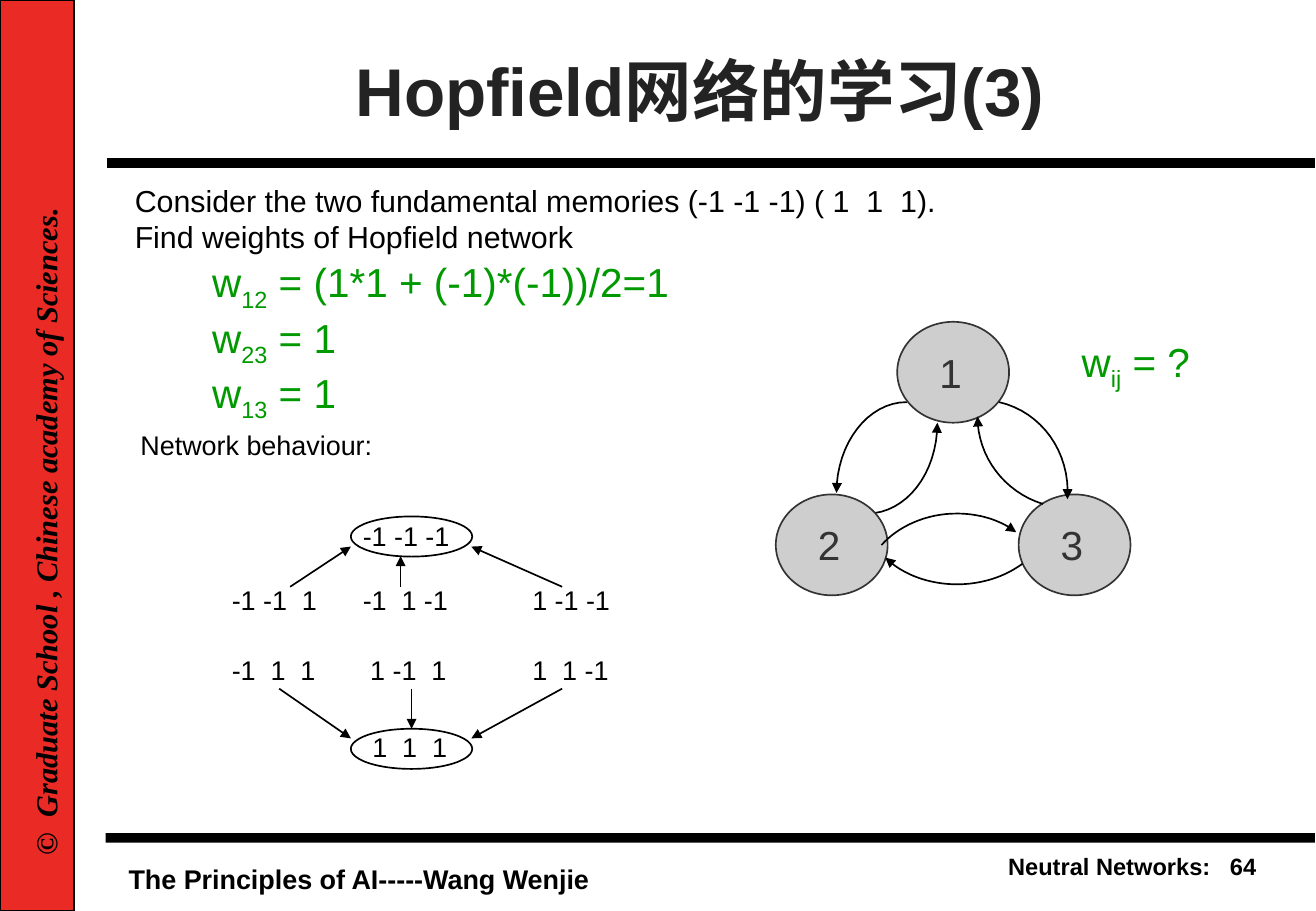
from dataclasses import dataclass
from itertools import product

from lxml.etree import SubElement
from pptx import Presentation
from pptx.dml.color import RGBColor as Rgb
from pptx.enum.shapes import MSO_CONNECTOR as Link, MSO_SHAPE as Shape
from pptx.enum.text import MSO_ANCHOR as Anchor, MSO_AUTO_SIZE as Fit, PP_ALIGN as Align
from pptx.oxml.ns import qn
from pptx.util import Cm, Pt


@dataclass(frozen=True)
class Theme:
    sans: str = "Arial"
    serif: str = "Times New Roman"
    black: str = "000000"
    title: str = "232323"
    red: str = "E92A25"
    green: str = "009900"
    gray: str = "CECECE"
    dark: str = "333333"
    huge: int = 40
    large: int = 24
    body: int = 18
    small: int = 16
    tiny: int = 14


LOOK = Theme()


def style(frame, size, color, face=LOOK.sans, bold=False, slant=False):
    for para in frame.paragraphs:
        for run in para.runs:
            font = run.font
            font.name, font.size = face, Pt(size)
            font.bold, font.italic = bold, slant
            font.color.rgb = Rgb.from_string(color)


def label(slide, spot, text, size=LOOK.small, color=LOOK.black, wrap=False, **extra):
    box = slide.shapes.add_textbox(*map(Cm, spot))
    frame = box.text_frame
    frame.word_wrap = wrap
    frame.auto_size = Fit.SHAPE_TO_FIT_TEXT
    frame.text = text
    style(frame, size, color, **extra)
    return box


def weights(slide, spot, terms):
    """Write one line per (index, value) pair, with the index set low."""
    frame = label(slide, spot, "\n".join("w" for _ in terms)).text_frame
    for para, (index, value) in zip(frame.paragraphs, terms):
        low, rest = para.add_run(), para.add_run()
        low.text, rest.text = index, f" = {value}"
        low._r.get_or_add_rPr().set("baseline", "-25000")
    style(frame, LOOK.large, LOOK.green)


def stroke(item, color=LOOK.black, width=1, arrow=False):
    item.line.color.rgb = Rgb.from_string(color)
    item.line.width = Pt(width)
    if arrow:
        line = item._element.spPr.find(qn("a:ln"))
        SubElement(line, qn("a:tailEnd")).set("type", "triangle")


def solid(slide, kind, spot, fill=None, edge=None):
    item = slide.shapes.add_shape(kind, *map(Cm, spot))
    item.shadow.inherit = False
    if fill:
        item.fill.solid()
        item.fill.fore_color.rgb = Rgb.from_string(fill)
    else:
        item.fill.background()
    if edge:
        stroke(item, edge)
    else:
        item.line.fill.background()


def line(slide, start, end, **extra):
    item = slide.shapes.add_connector(Link.STRAIGHT, *map(Cm, start + end))
    stroke(item, **extra)
    SubElement(item._element.spPr, qn("a:effectLst"))


def bend(slide, knots, steps=16):
    """Draw a chain of cubic curves that ends in an arrowhead."""
    dots = []
    for first in range(0, len(knots) - 1, 3):
        part = knots[first:first + 4]
        for step in range(1, steps + 1):
            t = step / steps
            mix = ((1 - t) ** 3, 3 * t * (1 - t) ** 2, 3 * t * t * (1 - t), t ** 3)
            dots.append(tuple(Cm(sum(m * p[axis] for m, p in zip(mix, part)))
                              for axis in (0, 1)))
    pen = slide.shapes.build_freeform(*map(Cm, knots[0]))
    pen.add_line_segments(dots, close=False)
    item = pen.convert_to_shape()
    item.shadow.inherit = False
    item.fill.background()
    stroke(item, arrow=True)


def draw_frame(slide):
    label(slide, (2.44, 17.91, 10.21, 0.91), "The Principles of AI-----Wang Wenjie", bold=True)
    page = label(slide, (18.36, 17.7, 8.18, 0.84), "Neutral Networks:   64",
                 LOOK.tiny, wrap=True, bold=True)
    page.text_frame.paragraphs[0].alignment = Align.RIGHT
    solid(slide, Shape.RECTANGLE, (2.21, 17.42, 25.3, 0.2), LOOK.black)
    solid(slide, Shape.RECTANGLE, (0, 0, 1.55, 19.05), LOOK.red, LOOK.black)
    line(slide, (2.24, 3.4), (27.51, 3.4), width=6)
    side = label(slide, (-6.15, 10.52, 14.2, 1.02),
                 "©  Graduate School , Chinese academy of Sciences.",
                 LOOK.body, face=LOOK.serif, bold=True, slant=True)
    side.rotation = 270


def draw_title(slide):
    title = slide.shapes.title
    title.left, title.top, title.width, title.height = map(Cm, (2.97, 0.56, 23.34, 2.62))
    frame = title.text_frame
    frame.text = "Hopfield网络的学习(3)"
    frame.auto_size, frame.vertical_anchor = Fit.NONE, Anchor.MIDDLE
    frame.paragraphs[0].alignment = Align.CENTER
    style(frame, LOOK.huge, LOOK.title, bold=True)


def draw_states(slide):
    # Stable memories
    for spot, text in (((7.34, 10.74, 2.5, 0.94), "-1 -1 -1"),
                       ((7.54, 15.16, 2.3, 0.94), "1  1  1")):
        label(slide, spot, text)
    for top in (10.8, 15.24):
        solid(slide, Shape.OVAL, (7.34, top, 2.54, 0.84), edge=LOOK.black)

    # Other states, row by row
    states = ("-1 -1  1", "-1  1 -1", " 1 -1 -1", "-1  1  1", " 1 -1  1", " 1  1 -1")
    for (top, left), text in zip(product((12.07, 13.54), (4.6, 7.34, 10.73)), states):
        label(slide, (left, top, 2.5, 0.94), text)

    # Moves towards the memories
    for start, end in (((6.07, 12.27), (7.34, 11.43)), ((8.38, 12.27), (8.38, 11.63)),
                       ((11.76, 12.27), (9.86, 11.43)), ((5.84, 14.4), (7.34, 15.44)),
                       ((8.61, 14.4), (8.61, 15.24)), ((11.76, 14.4), (9.86, 15.44))):
        line(slide, start, end, arrow=True)


def draw_net(slide):
    # Link from 2 to 1, which starts behind its neuron
    bend(slide, ((18.14, 10.74), (18.95, 10.74), (19.61, 9.91), (19.61, 8.84)))

    # Neurons
    for name, left, top in (("1", 18.77, 6.73), ("2", 16.23, 10.34), ("3", 21.31, 10.34)):
        solid(slide, Shape.OVAL, (left, top, 2.34, 2.11), LOOK.gray, LOOK.dark)
        label(slide, (left + 0.63, top + 0.42, 0.98, 1.27), name, LOOK.large, LOOK.dark)

    # Links in front: 1 to 2, 3 to 1, 1 to 3, 2 to 3, 3 to 2
    for knots in (
        ((18.97, 8.41), (18.16, 8.41), (17.5, 9.27), (17.5, 10.31)),
        ((21.82, 10.54), (21.01, 10.29), (20.45, 9.55), (20.45, 8.71)),
        ((20.9, 8.41), (21.78, 8.61), (22.4, 9.45), (22.33, 10.44)),
        ((18.44, 11.4), (18.8, 11), (19.38, 10.74), (20.02, 10.74),
         (20.47, 10.74), (20.93, 10.87), (21.26, 11.13)),
        ((21.39, 11.79), (21.01, 12.07), (20.52, 12.22), (20.02, 12.22),
         (19.43, 12.22), (18.87, 12.01), (18.52, 11.66)),
    ):
        bend(slide, knots)


def main():
    deck = Presentation()
    deck.slide_width, deck.slide_height = Cm(27.53), Cm(19.05)
    slide = deck.slides.add_slide(deck.slide_layouts[5])
    draw_frame(slide)
    draw_title(slide)
    draw_states(slide)
    draw_net(slide)

    # Task and its answer
    weights(slide, (22.38, 6.93, 2.8, 1.42), [("ij", "?")])
    label(slide, (2.69, 8.84, 5.4, 0.94), "Network behaviour:")
    weights(slide, (4.19, 5.26, 10.1, 3.73),
            [("12", "(1*1 + (-1)*(-1))/2=1"), ("23", "1"), ("13", "1")])
    label(slide, (2.57, 3.68, 24.33, 2.95),
          "Consider the two fundamental memories (-1 -1 -1) ( 1  1  1).\n"
          "Find weights of Hopfield network", LOOK.body, wrap=True)
    deck.save("out.pptx")


if __name__ == "__main__":
    main()
